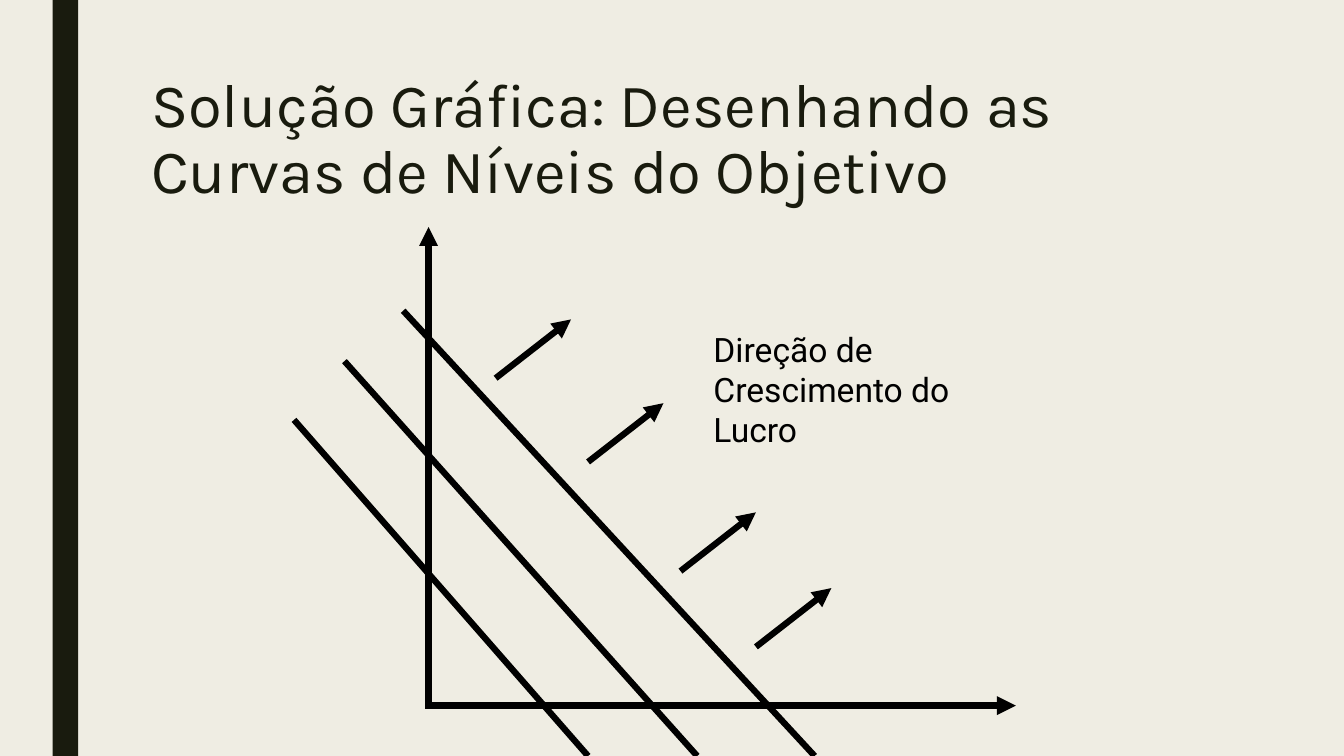
from dataclasses import dataclass

from lxml.etree import SubElement
from pptx import Presentation
from pptx.dml.color import RGBColor
from pptx.enum.shapes import MSO_CONNECTOR, MSO_SHAPE
from pptx.enum.text import MSO_ANCHOR
from pptx.oxml.ns import qn
from pptx.slide import Slide
from pptx.util import Cm, Pt


@dataclass(frozen=True)
class Theme:
    background: RGBColor = RGBColor(0xEF, 0xED, 0xE3)
    dark: RGBColor = RGBColor(0x19, 0x1B, 0x0E)
    ink: RGBColor = RGBColor(0, 0, 0)
    title_font: str = "Karla"
    body_font: str = "Roboto"
    title_size: int = 44
    label_size: int = 24
    line_width: float = 4.5


@dataclass(frozen=True)
class Line:
    """A straight line, in centimetres; an arrow points at its end."""
    start_x: float
    start_y: float
    end_x: float
    end_y: float
    arrow: bool = False


@dataclass(frozen=True)
class Label:
    text: str
    left: float
    top: float
    width: float
    height: float
    font: str
    size: int
    color: RGBColor
    margin_x: float = 0
    margin_y: float = 0
    line_spacing: float = 1.0


THEME = Theme()
SLIDE_WIDTH, SLIDE_HEIGHT = 33.87, 19.05
AXIS_X, AXIS_Y = 10.8, 17.78

AXES = [
    Line(AXIS_X, AXIS_Y, AXIS_X, 5.72, arrow=True),
    Line(10.72, AXIS_Y, 25.6, AXIS_Y, arrow=True),
]
LEVEL_CURVES = [
    Line(start_x, start_y, end_x, SLIDE_HEIGHT)
    for start_x, start_y, end_x in [
        (7.41, 10.58, 14.82), (8.68, 9.1, 17.57), (10.16, 7.83, 20.53)]
]
GROWTH_X, GROWTH_Y = 1.9, -1.48
GROWTH_ARROWS = [
    Line(x, y, x + GROWTH_X, y + GROWTH_Y, arrow=True)
    for x, y in [(12.49, 9.53), (14.82, 11.64), (17.15, 14.39), (19.05, 16.3)]
]
LABELS = [
    Label("Solução Gráfica: Desenhando as Curvas de Níveis do Objetivo",
          3.81, 1.9, 26.67, 4.11, THEME.title_font, THEME.title_size,
          THEME.dark, line_spacing=0.89),
    Label("Direção de Crescimento do Lucro", 17.73, 8.15, 6.6, 3.3,
          THEME.body_font, THEME.label_size, THEME.ink, 0.25, 0.13),
]


def add_side_bar(slide: Slide) -> None:
    bar = slide.shapes.add_shape(
        MSO_SHAPE.RECTANGLE, Cm(1.33), Cm(0), Cm(0.64), Cm(SLIDE_HEIGHT))
    bar.shadow.inherit = False
    bar.fill.solid()
    bar.fill.fore_color.rgb = THEME.dark
    bar.line.fill.background()


def add_line(slide: Slide, line: Line) -> None:
    connector = slide.shapes.add_connector(
        MSO_CONNECTOR.STRAIGHT, Cm(line.start_x), Cm(line.start_y),
        Cm(line.end_x), Cm(line.end_y))
    connector.line.color.rgb = THEME.ink
    connector.line.width = Pt(THEME.line_width)
    if line.arrow:
        outline = connector.line._get_or_add_ln()
        SubElement(outline, qn("a:tailEnd"), type="triangle")
    SubElement(connector._element.spPr, qn("a:effectLst"))


def add_label(slide: Slide, label: Label) -> None:
    box = slide.shapes.add_textbox(
        Cm(label.left), Cm(label.top), Cm(label.width), Cm(label.height))
    frame = box.text_frame
    frame.word_wrap = True
    frame.vertical_anchor = MSO_ANCHOR.TOP
    frame.margin_left = frame.margin_right = Cm(label.margin_x)
    frame.margin_top = frame.margin_bottom = Cm(label.margin_y)
    paragraph = frame.paragraphs[0]
    paragraph.line_spacing = label.line_spacing
    run = paragraph.add_run()
    run.text = label.text
    run.font.name = label.font
    run.font.size = Pt(label.size)
    run.font.color.rgb = label.color


def main() -> None:
    presentation = Presentation()
    presentation.slide_width = Cm(SLIDE_WIDTH)
    presentation.slide_height = Cm(SLIDE_HEIGHT)
    slide = presentation.slides.add_slide(presentation.slide_layouts[6])
    slide.background.fill.solid()
    slide.background.fill.fore_color.rgb = THEME.background

    add_side_bar(slide)
    for line in AXES + LEVEL_CURVES + GROWTH_ARROWS:
        add_line(slide, line)
    for label in LABELS:
        add_label(slide, label)
    presentation.save("out.pptx")


if __name__ == "__main__":
    main()
